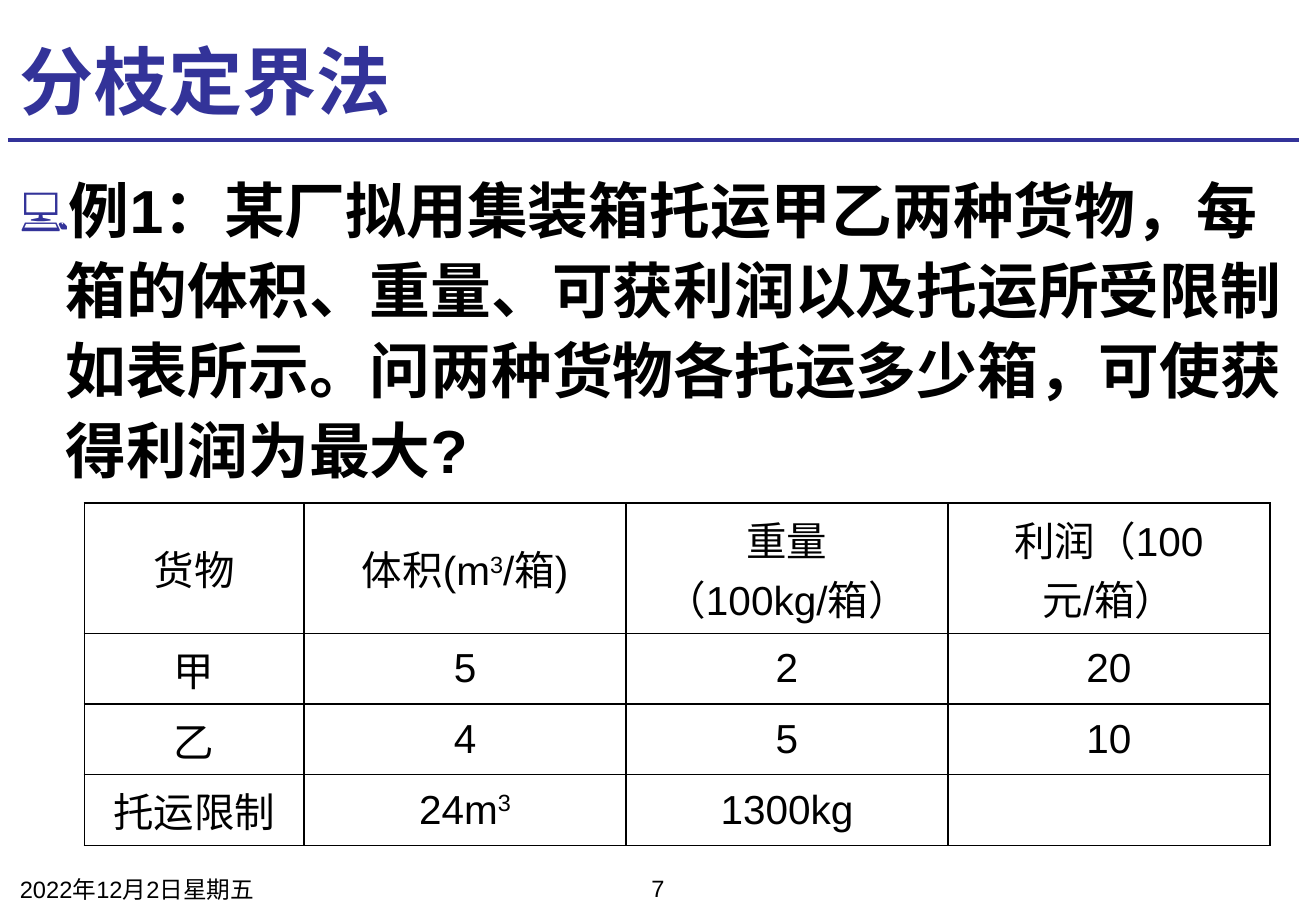
from lxml import etree
from pptx import Presentation
from pptx.dml.color import RGBColor
from pptx.enum.shapes import MSO_CONNECTOR
from pptx.enum.text import MSO_ANCHOR, PP_ALIGN
from pptx.oxml.ns import qn
from pptx.util import Inches, Pt

LINE = MSO_CONNECTOR.STRAIGHT
TOP, MID, LOW = MSO_ANCHOR.TOP, MSO_ANCHOR.MIDDLE, MSO_ANCHOR.BOTTOM
LEFT, MIDST = PP_ALIGN.LEFT, PP_ALIGN.CENTER
BLUE, BLACK = "333399", "000000"


def color(code):
    return RGBColor.from_string(code)


class Page:
    font = "Arial"

    def __init__(self, wide, high):
        self.deck = Presentation()
        self.deck.slide_width = Inches(wide)
        self.deck.slide_height = Inches(high)
        self.slide = self.deck.slides.add_slide(self.deck.slide_layouts[6])

    def x(self, part):
        return round(self.deck.slide_width * part / 100)

    def y(self, part):
        return round(self.deck.slide_height * part / 100)

    def box(self, left, top, wide, high):
        return self.x(left), self.y(top), self.x(wide), self.y(high)

    def style(self, para, size, code=BLACK, bold=False, align=LEFT):
        para.alignment = align
        for run in para.runs:
            run.font.name = self.font
            run.font.size = Pt(size)
            run.font.bold = bold
            run.font.color.rgb = color(code)

    def rule(self, left, right, top, code, width):
        line = self.slide.shapes.add_connector(
            LINE, self.x(left), self.y(top), self.x(right), self.y(top))
        line.line.color.rgb = color(code)
        line.line.width = Pt(width)
        etree.SubElement(line._element.spPr, qn("a:effectLst"))

    def text(self, words, area, size, anchor=TOP, **look):
        frame = self.slide.shapes.add_textbox(*self.box(*area)).text_frame
        frame.word_wrap = True
        frame.vertical_anchor = anchor
        frame.text = words
        para = frame.paragraphs[0]
        self.style(para, size, **look)
        return para

    def bullet(self, para, mark, code, share, indent, space):
        para.line_spacing = space
        props = para._p.get_or_add_pPr()
        props.set("marL", str(Inches(indent)))
        props.set("indent", str(-Inches(indent)))
        tint = etree.SubElement(props, qn("a:buClr"))
        etree.SubElement(tint, qn("a:srgbClr"), val=code)
        etree.SubElement(props, qn("a:buSzPct"), val=str(share * 1000))
        etree.SubElement(props, qn("a:buFont"), typeface=self.font)
        etree.SubElement(props, qn("a:buChar"), char=mark)

    def border(self, cell, code, width):
        props = cell._tc.get_or_add_tcPr()
        for spot, side in enumerate(("lnL", "lnR", "lnT", "lnB")):
            edge = etree.Element(qn("a:" + side), w=str(Pt(width)))
            fill = etree.SubElement(edge, qn("a:solidFill"))
            etree.SubElement(fill, qn("a:srgbClr"), val=code)
            props.insert(spot, edge)

    def cell(self, cell, words, size):
        cell.fill.background()
        cell.vertical_anchor = MID
        para = cell.text_frame.paragraphs[0]
        for spot, piece in enumerate(words.split("^")):
            if piece:
                run = para.add_run()
                run.text = piece
                if spot % 2:
                    run._r.get_or_add_rPr().set("baseline", "30000")
        self.style(para, size, align=MIDST)
        if not words:
            para.font.size = Pt(size)
        self.border(cell, BLACK, 1)

    def table(self, rows, area, wides, highs, size):
        place = self.box(*area)
        grid = self.slide.shapes.add_table(len(rows), len(wides), *place).table
        grid.first_row = grid.horz_banding = False
        for col, part in zip(grid.columns, wides):
            col.width = round(place[2] * part / sum(wides))
        for row, part in zip(grid.rows, highs):
            row.height = round(place[3] * part / sum(highs))
        for r, row in enumerate(rows):
            for c, words in enumerate(row):
                self.cell(grid.cell(r, c), words, size)


GOODS = [
    ["货物", "体积(m^3^/箱)", "重量（100kg/箱）", "利润（100元/箱）"],
    ["甲", "5", "2", "20"],
    ["乙", "4", "5", "10"],
    ["托运限制", "24m^3", "1300kg", ""],
]
WIDES = [1.81] + [2.65] * 3
HIGHS = [1.07] + [0.58] * 3
TASK = ("例1：某厂拟用集装箱托运甲乙两种货物，每箱的体积、重量、可获利润以及"
        "托运所受限制如表所示。问两种货物各托运多少箱，可使获得利润为最大?")


def main():
    page = Page(10.83, 7.5)
    page.rule(0.6, 98.7, 15.33, BLUE, 2.25)
    page.text("分枝定界法", (0.6, 2.7, 98.1, 11.6), 44, LOW, code=BLUE, bold=True)
    task = page.text(TASK, (0.6, 17.5, 98.1, 76.8), 36, bold=True)
    page.bullet(task, "💻", BLUE, 75, 0.38, 1.1)
    page.text("2022年12月2日星期五", (0.6, 95.4, 23.4, 4), 14)
    page.text("7", (38.3, 95.3, 23.4, 4), 14, align=MIDST)
    page.table(GOODS, (6.4, 55.2, 90.1, 37.6), WIDES, HIGHS, 24)
    page.deck.save("out.pptx")


if __name__ == "__main__":
    main()
